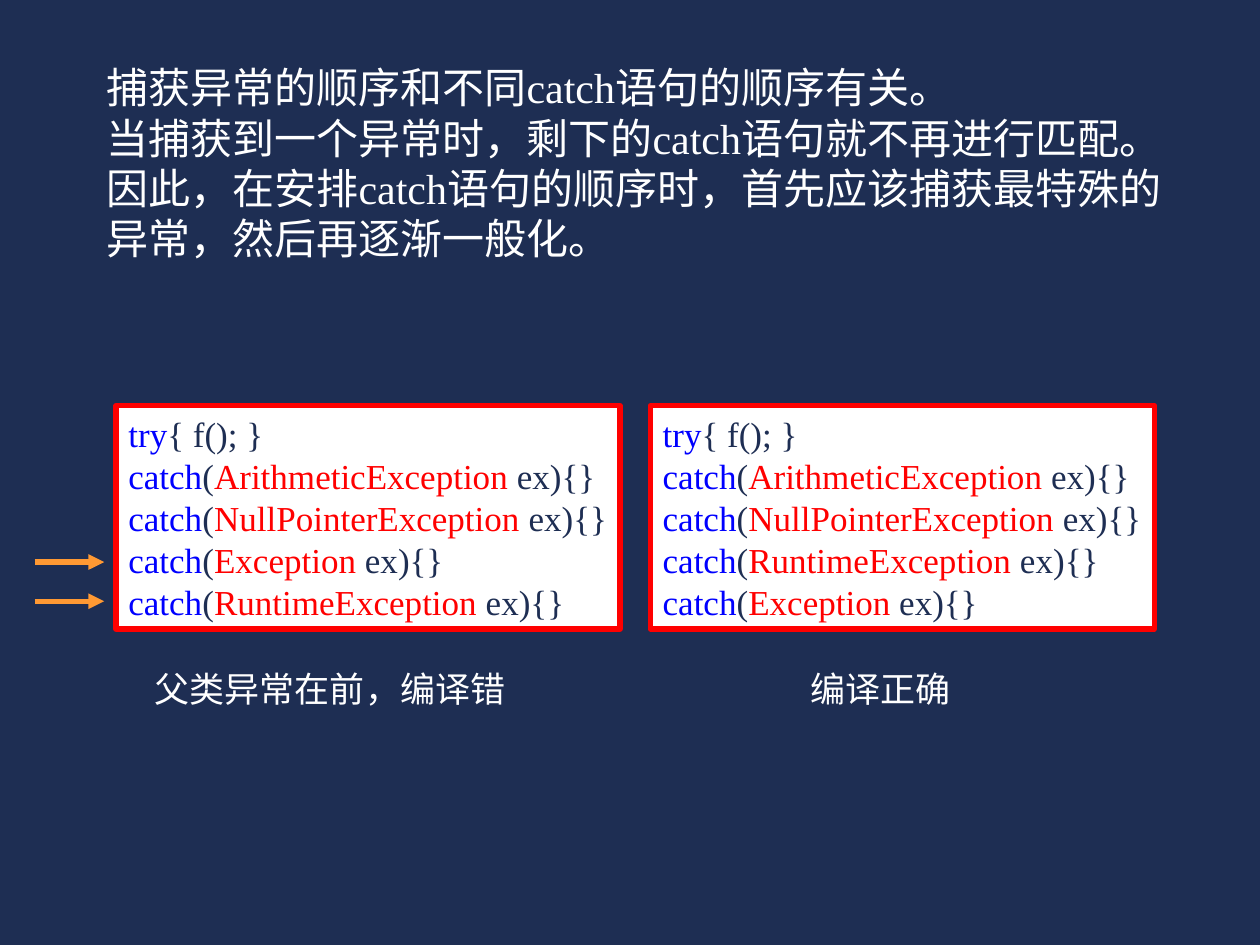
"""Build a slide on the order of catch clauses in Java."""
from pptx import Presentation
from pptx.dml.color import RGBColor
from pptx.enum.shapes import MSO_CONNECTOR, MSO_SHAPE
from pptx.enum.text import MSO_ANCHOR, MSO_AUTO_SIZE, PP_ALIGN
from pptx.oxml.ns import qn
from pptx.util import Cm, Pt
from lxml import etree

RECT = MSO_SHAPE.RECTANGLE
STRAIGHT = MSO_CONNECTOR.STRAIGHT
MIDDLE = MSO_ANCHOR.MIDDLE
GROW = MSO_AUTO_SIZE.SHAPE_TO_FIT_TEXT
LEFT = PP_ALIGN.LEFT
COLORS = {"navy": "1E2E53", "white": "FFFFFF", "red": "FF0000",
          "blue": "0000FF", "orange": "FF9933"}


def rgb(name):
    return RGBColor.from_string(COLORS[name])


def add_run(p, text, size, color):
    r = p.add_run()
    r.text = text
    formats = {"name": "Times New Roman", "size": Pt(size)}
    for key, value in formats.items():
        setattr(r.font, key, value)
    r.font.color.rgb = rgb(color)


prs = Presentation()
prs.slide_width, prs.slide_height = Cm(25.4), Cm(19.05)
s = prs.slides.add_slide(prs.slide_layouts[6])
s.background.fill.solid()
s.background.fill.fore_color.rgb = rgb("navy")

texts = [
    (1.9, 1.12, 22, 4.32, 24, [
        "捕获异常的顺序和不同catch语句的顺序有关。",
        "当捕获到一个异常时，剩下的catch语句就不再进行匹配。因此，在安排catch语句的顺序时，"
        "首先应该捕获最特殊的异常，然后再逐渐一般化。"]),
    (2.87, 13.34, 7.6, 1.12, 20, ["父类异常在前，编译错"]),
    (16.08, 13.34, 4.4, 1.12, 20, ["编译正确"]),
]
for x, y, w, h, size, lines in texts:
    tf = s.shapes.add_textbox(Cm(x), Cm(y), Cm(w), Cm(h)).text_frame
    for key, value in {"word_wrap": True, "auto_size": GROW}.items():
        setattr(tf, key, value)
    for i, line in enumerate(lines):
        p = tf.add_paragraph() if i else tf.paragraphs[0]
        add_run(p, line, size, "white")

common = ["ArithmeticException", "NullPointerException"]
code_boxes = [
    (2.34, common + ["Exception", "RuntimeException"]),
    (13.11, common + ["RuntimeException", "Exception"]),
]
for x, exceptions in code_boxes:
    sp = s.shapes.add_shape(RECT, Cm(x), Cm(8.18), Cm(10.16), Cm(4.5))
    sp.shadow.inherit = False
    sp.fill.solid()
    sp.fill.fore_color.rgb = rgb("white")
    sp.line.color.rgb = rgb("red")
    sp.line.width = Pt(3)
    tf = sp.text_frame
    formats = {"word_wrap": False, "auto_size": GROW, "vertical_anchor": MIDDLE}
    for key, value in formats.items():
        setattr(tf, key, value)
    p = tf.paragraphs[0]
    p.alignment = LEFT
    add_run(p, "try", 20, "blue")
    add_run(p, "{ f(); }", 20, "navy")
    for exception in exceptions:
        p = tf.add_paragraph()
        p.alignment = LEFT
        for text, color in (("catch", "blue"), ("(", "navy"),
                            (exception, "red"), (" ex){}", "navy")):
            add_run(p, text, 20, color)

for y in (11.33, 12.12):
    arrow = s.shapes.add_connector(STRAIGHT, Cm(0.7), Cm(y), Cm(2.1), Cm(y))
    arrow.line.color.rgb = rgb("orange")
    arrow.line.width = Pt(3)
    etree.SubElement(arrow.line._get_or_add_ln(), qn("a:tailEnd"), type="triangle")
    etree.SubElement(arrow._element.spPr, qn("a:effectLst"))

prs.save("out.pptx")
